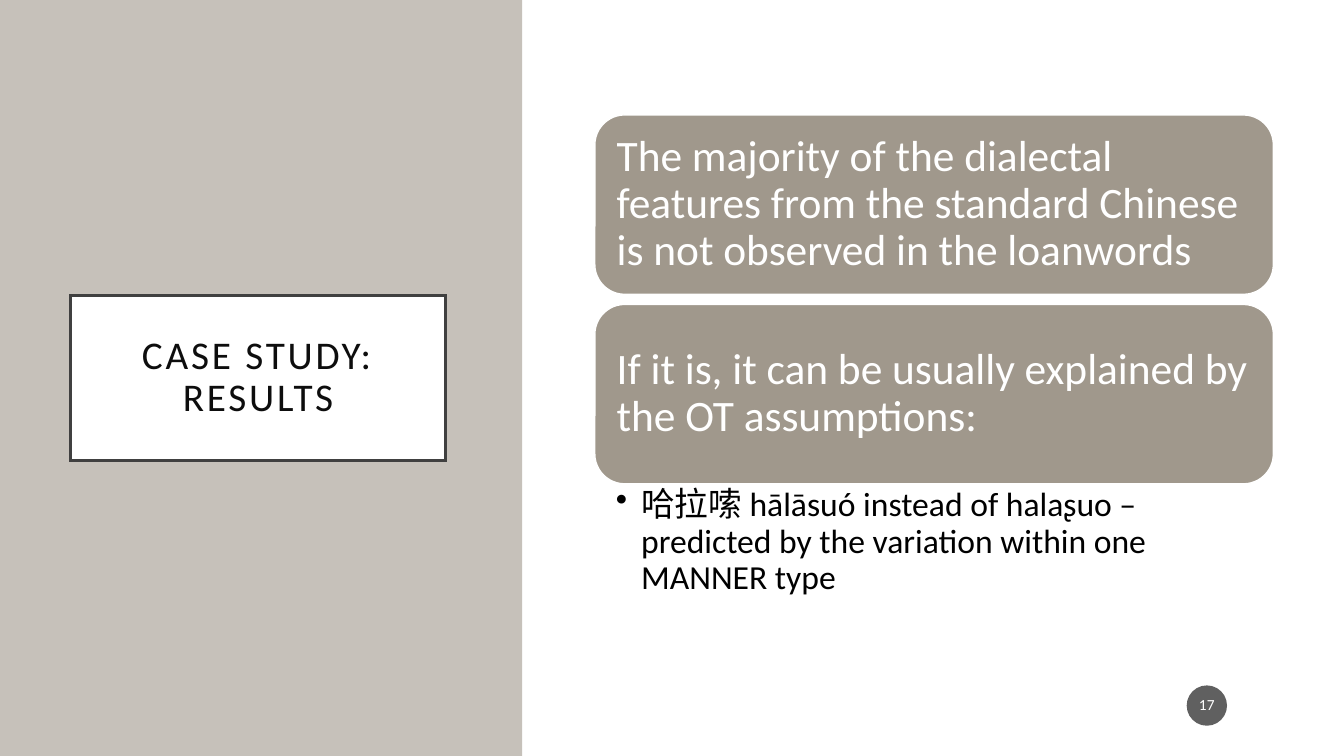
from lxml.etree import SubElement
from pptx import Presentation
from pptx.dml.color import RGBColor as RGB
from pptx.enum.shapes import MSO_SHAPE as Kind
from pptx.enum.text import MSO_ANCHOR as Anchor, PP_ALIGN as Align
from pptx.oxml.ns import qn
from pptx.util import Inches, Pt

SAND = RGB(0xC6, 0xC1, 0xBA)
TAUPE = RGB(0xA0, 0x98, 0x8C)
WHITE = RGB(0xFF, 0xFF, 0xFF)
BLACK = RGB(0, 0, 0)
INK = RGB(0x0D, 0x0D, 0x0D)
EDGE = RGB(0x40, 0x40, 0x40)
DARK = RGB(0x1D, 0x1D, 0x1D)

CLAIMS = [
    "The majority of the dialectal features from the standard Chinese "
    "is not observed in the loanwords",
    "If it is, it can be usually explained by the OT assumptions:",
]
DETAIL = ("哈拉嗦 hālāsuó instead of halaʂuo – predicted by the variation "
          "within one MANNER type")


def add_form(slide, kind, box, fill, line=None):
    form = slide.shapes.add_shape(kind, *map(Inches, box))
    form.shadow.inherit = False
    form.fill.solid()
    form.fill.fore_color.rgb = fill
    if line is None:
        form.line.fill.background()
    else:
        form.line.color.rgb = line
        form.line.width = Pt(1)
    return form


def add_bullet(para, indent):
    props = para._p.get_or_add_pPr()
    props.set("marL", str(Inches(indent)))
    props.set("indent", str(-Inches(indent)))
    SubElement(props, qn("a:buChar")).set("char", "•")


def write(form, text, size, color, pads, align=Align.LEFT,
          anchor=Anchor.MIDDLE, indent=0):
    frame = form.text_frame
    frame.word_wrap = True
    frame.vertical_anchor = anchor
    (frame.margin_left, frame.margin_top,
     frame.margin_right, frame.margin_bottom) = map(Inches, pads)
    frame.text = text
    para = frame.paragraphs[0]
    if indent:
        add_bullet(para, indent)
    para.alignment = align
    para.line_spacing = 0.9
    para.space_before = Pt(0)
    para.font.name = "Calibri"
    para.font.size = Pt(size)
    para.font.color.rgb = color
    return para


def add_panel(slide, box):
    """Coloured side panel with the framed title."""
    left, top, wide, high = box
    panel = add_form(slide, Kind.RECTANGLE, box, SAND)
    title = slide.shapes.title
    title.element.addprevious(panel.element)  # panel lies behind the title
    title.left, title.top = Inches(left + 0.7), Inches(top + 2.93)
    title.width, title.height = Inches(wide - 1.46), Inches(1.64)
    title.fill.solid()
    title.fill.fore_color.rgb = WHITE
    title.line.color.rgb = EDGE
    title.line.width = Pt(2.5)
    # Square frame corners
    SubElement(title.line._get_or_add_ln(), qn("a:miter")).set("lim", "800000")
    para = write(title, "CASE STUDY: RESULTS", 28, INK, [0.2] * 4, Align.CENTER)
    para.runs[0].font._element.set("spc", "200")


def add_claims(slide, box):
    """Stacked claim cards, then the bulleted detail."""
    left, top, wide, high = box
    card, step = 1.78, 1.88
    for i, claim in enumerate(CLAIMS):
        form = add_form(slide, Kind.ROUNDED_RECTANGLE,
                        (left, top + i * step, wide, card), TAUPE, WHITE)
        write(form, claim, 31, WHITE, [0.13] * 4)
    used = (len(CLAIMS) - 1) * step + card
    area = (left, top + used, wide, high - used)
    note = slide.shapes.add_textbox(*map(Inches, area))
    write(note, DETAIL, 24, BLACK, (0.21, 0.04, 0.24, 0.04),
          anchor=Anchor.TOP, indent=0.25)


def add_badge(slide, box):
    """Round page number."""
    disc = add_form(slide, Kind.OVAL, box, DARK)
    color = disc.fill._xPr.find(qn("a:solidFill"))[0]
    SubElement(color, qn("a:alpha")).set("val", "70000")
    write(disc, "17", 11, WHITE, (0.02, 0.05, 0.02, 0.05), Align.CENTER)


def main():
    deck = Presentation()
    deck.slide_width, deck.slide_height = Inches(13.33), Inches(7.5)
    slide = deck.slides.add_slide(deck.slide_layouts[5])
    add_panel(slide, (0, 0, 5.18, 7.5))
    # White content area
    add_form(slide, Kind.RECTANGLE, (5.2, 0, 8.13, 7.5), WHITE)
    add_badge(slide, (11.77, 6.8, 0.4, 0.4))
    add_claims(slide, (5.9, 1.14, 6.73, 4.89))
    deck.save("out.pptx")


if __name__ == "__main__":
    main()
